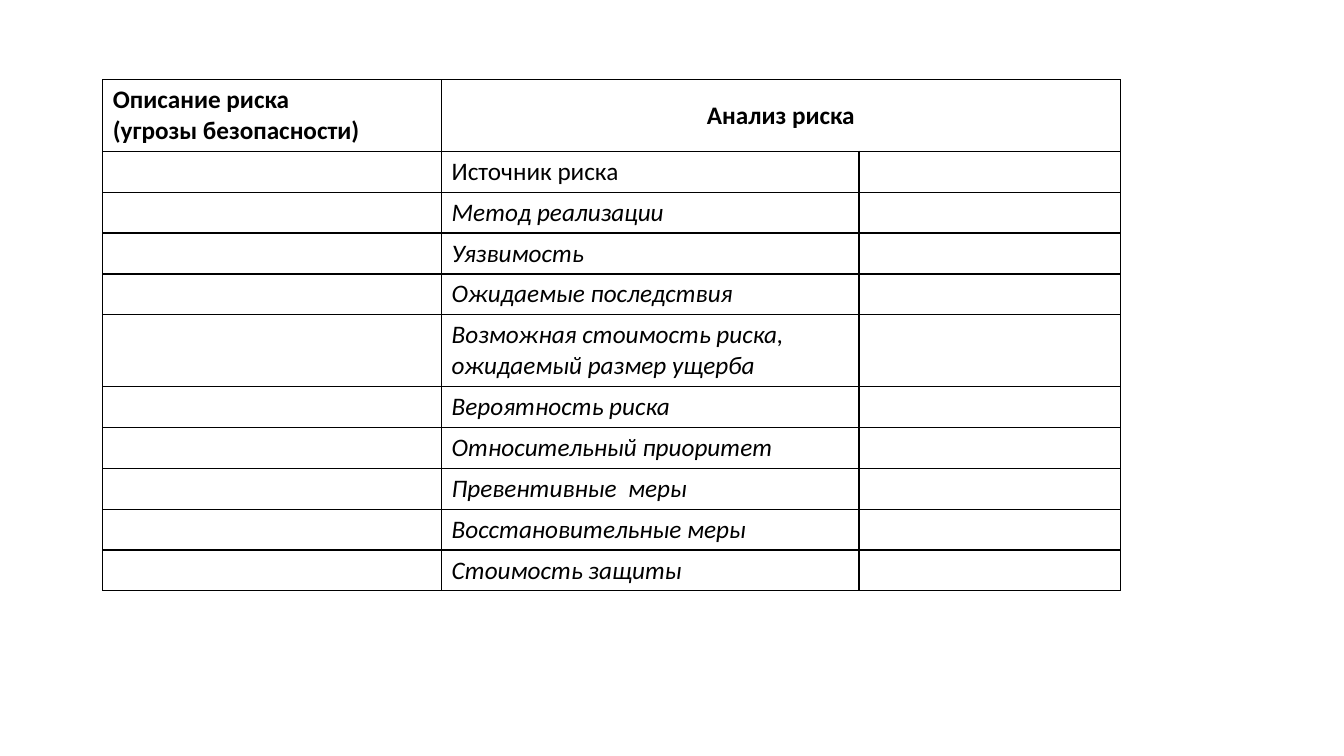
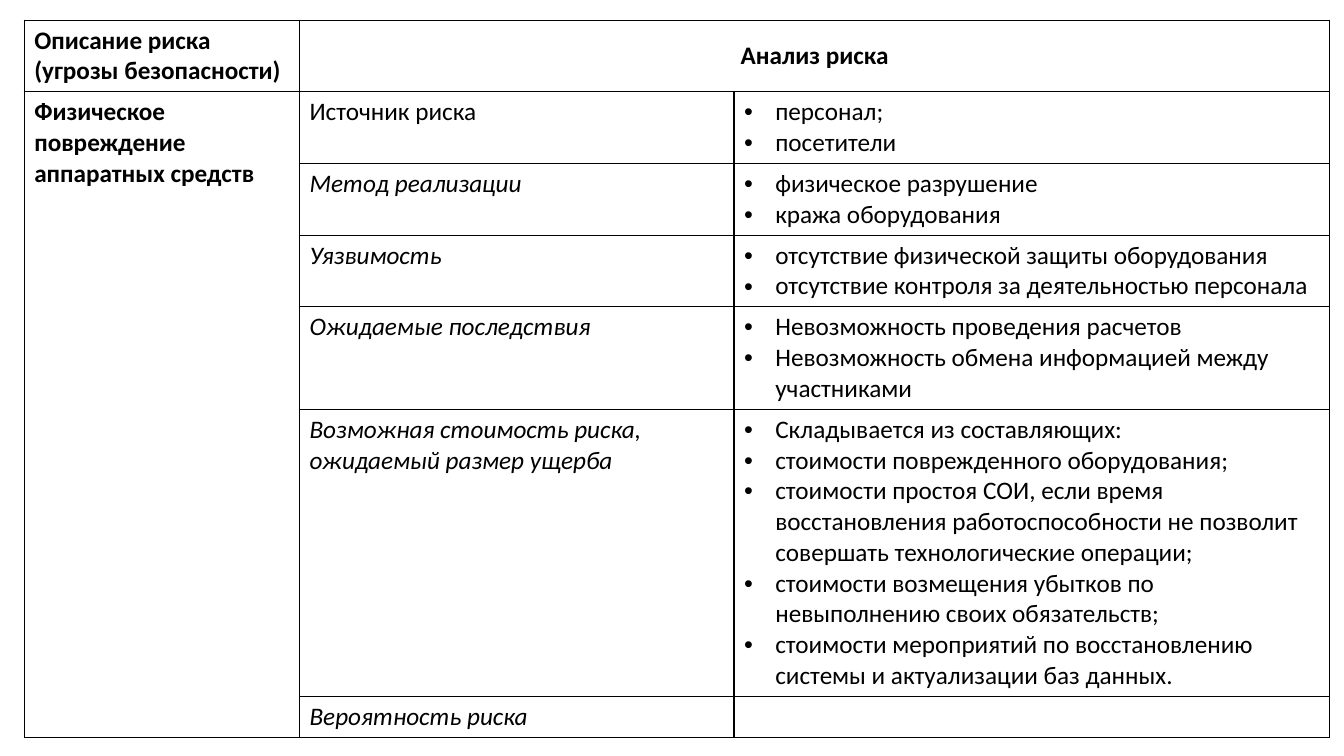
"""Build two slides with risk analysis tables."""
from dataclasses import dataclass

from lxml.etree import SubElement
from pptx import Presentation
from pptx.dml.color import RGBColor
from pptx.enum.text import MSO_ANCHOR, PP_ALIGN
from pptx.oxml.ns import qn
from pptx.presentation import Presentation as Deck
from pptx.table import _Cell
from pptx.text.text import _Paragraph
from pptx.util import Inches, Pt

BLACK = RGBColor(0x00, 0x00, 0x00)
FONT = "Calibri"
TEXT_SIZE = Pt(18)
LINE_HEIGHT = 22 / 72
CELL_PADDING = 0.1
BULLET_INDENT = Inches(0.31)
BORDER_SIDES = ("a:lnL", "a:lnR", "a:lnT", "a:lnB")
THREAT_HEADING = ("Описание риска", "(угрозы безопасности)")
ANALYSIS_HEADING = ("Анализ риска",)


@dataclass(frozen=True)
class Aspect:
    label: str
    findings: tuple[str, ...] = ()
    lines: int = 1
    italic: bool = True


@dataclass(frozen=True)
class RiskTable:
    left: float
    top: float
    columns: tuple[float, float, float]
    aspects: tuple[Aspect, ...]
    threat: str = ""


BLANK_FORM = RiskTable(1.02, 0.79, (3.36, 4.14, 2.59), (
    Aspect("Источник риска", italic=False),
    Aspect("Метод реализации"),
    Aspect("Уязвимость"),
    Aspect("Ожидаемые последствия"),
    Aspect("Возможная стоимость риска, ожидаемый размер ущерба", lines=2),
    Aspect("Вероятность риска"),
    Aspect("Относительный приоритет"),
    Aspect("Превентивные  меры"),
    Aspect("Восстановительные меры"),
    Aspect("Стоимость защиты"),
))

HARDWARE_DAMAGE = RiskTable(0.24, 0.2, (2.73, 4.31, 5.91), (
    Aspect("Источник риска", ("персонал;", "посетители"), 2, italic=False),
    Aspect("Метод реализации", ("физическое разрушение", "кража оборудования"), 2),
    Aspect("Уязвимость", (
        "отсутствие физической защиты оборудования",
        "отсутствие контроля за деятельностью персонала",
    ), 2),
    Aspect("Ожидаемые последствия", (
        "Невозможность проведения расчетов",
        "Невозможность обмена информацией между участниками",
    ), 3),
    Aspect("Возможная стоимость риска, ожидаемый размер ущерба", (
        "Складывается из составляющих:",
        "стоимости поврежденного оборудования;",
        "стоимости простоя СОИ, если время восстановления работоспособности "
        "не позволит совершать технологические операции;",
        "стоимости возмещения убытков по невыполнению своих обязательств;",
        "стоимости мероприятий по восстановлению системы и актуализации баз данных.",
    ), 9),
    Aspect("Вероятность риска"),
), threat="Физическое повреждение аппаратных средств")


def outline_cell(cell: _Cell) -> None:
    """Give a cell thin black borders and no fill."""
    properties = cell._tc.get_or_add_tcPr()
    for side in BORDER_SIDES:
        border = SubElement(properties, qn(side), w=str(Pt(1)))
        fill = SubElement(border, qn("a:solidFill"))
        SubElement(fill, qn("a:srgbClr"), val=str(BLACK))
    cell.fill.background()


def add_bullet(paragraph: _Paragraph) -> None:
    """Turn a paragraph into a hanging bullet item."""
    properties = paragraph._p.get_or_add_pPr()
    properties.set("marL", str(BULLET_INDENT))
    properties.set("indent", str(-BULLET_INDENT))
    SubElement(properties, qn("a:buFont"), typeface="Arial")
    SubElement(properties, qn("a:buChar"), char="•")


def write_cell(cell: _Cell, texts: tuple[str, ...], bold: bool = False,
               italic: bool = False, bulleted: bool = False) -> None:
    """Write one paragraph per text in a common style."""
    cell.text = "\n".join(texts)
    for paragraph in cell.text_frame.paragraphs:
        if bulleted:
            add_bullet(paragraph)
        font = paragraph.font
        font.name = FONT
        font.size = TEXT_SIZE
        font.bold = bold
        font.italic = italic
        font.color.rgb = BLACK


def row_height(lines: int) -> float:
    """Return the height in inches of a row with this many text lines."""
    return CELL_PADDING + LINE_HEIGHT * lines


def add_risk_slide(deck: Deck, risk: RiskTable) -> None:
    """Add a slide holding one risk analysis table."""
    slide = deck.slides.add_slide(deck.slide_layouts[6])
    heights = [row_height(lines) for lines in
               (len(THREAT_HEADING), *(aspect.lines for aspect in risk.aspects))]
    table = slide.shapes.add_table(
        len(heights), len(risk.columns), Inches(risk.left), Inches(risk.top),
        Inches(sum(risk.columns)), Inches(sum(heights))).table
    table.first_row = False
    table.horz_banding = False
    for column, width in zip(table.columns, risk.columns):
        column.width = Inches(width)
    for row, height in zip(table.rows, heights):
        row.height = Inches(height)
    for cell in table.iter_cells():
        outline_cell(cell)

    write_cell(table.cell(0, 0), THREAT_HEADING, bold=True)
    analysis = table.cell(0, 1)
    analysis.merge(table.cell(0, 2))
    write_cell(analysis, ANALYSIS_HEADING, bold=True)
    analysis.vertical_anchor = MSO_ANCHOR.MIDDLE
    analysis.text_frame.paragraphs[0].alignment = PP_ALIGN.CENTER

    if risk.threat:
        threat = table.cell(1, 0)
        threat.merge(table.cell(len(risk.aspects), 0))
        write_cell(threat, (risk.threat,), bold=True)
    for index, aspect in enumerate(risk.aspects, start=1):
        write_cell(table.cell(index, 1), (aspect.label,), italic=aspect.italic)
        if aspect.findings:
            write_cell(table.cell(index, 2), aspect.findings, bulleted=True)


def main() -> None:
    """Create and save the presentation."""
    deck = Presentation()
    deck.slide_width = Inches(13.33)
    deck.slide_height = Inches(7.5)
    for risk in (BLANK_FORM, HARDWARE_DAMAGE):
        add_risk_slide(deck, risk)
    deck.save("out.pptx")


if __name__ == "__main__":
    main()
